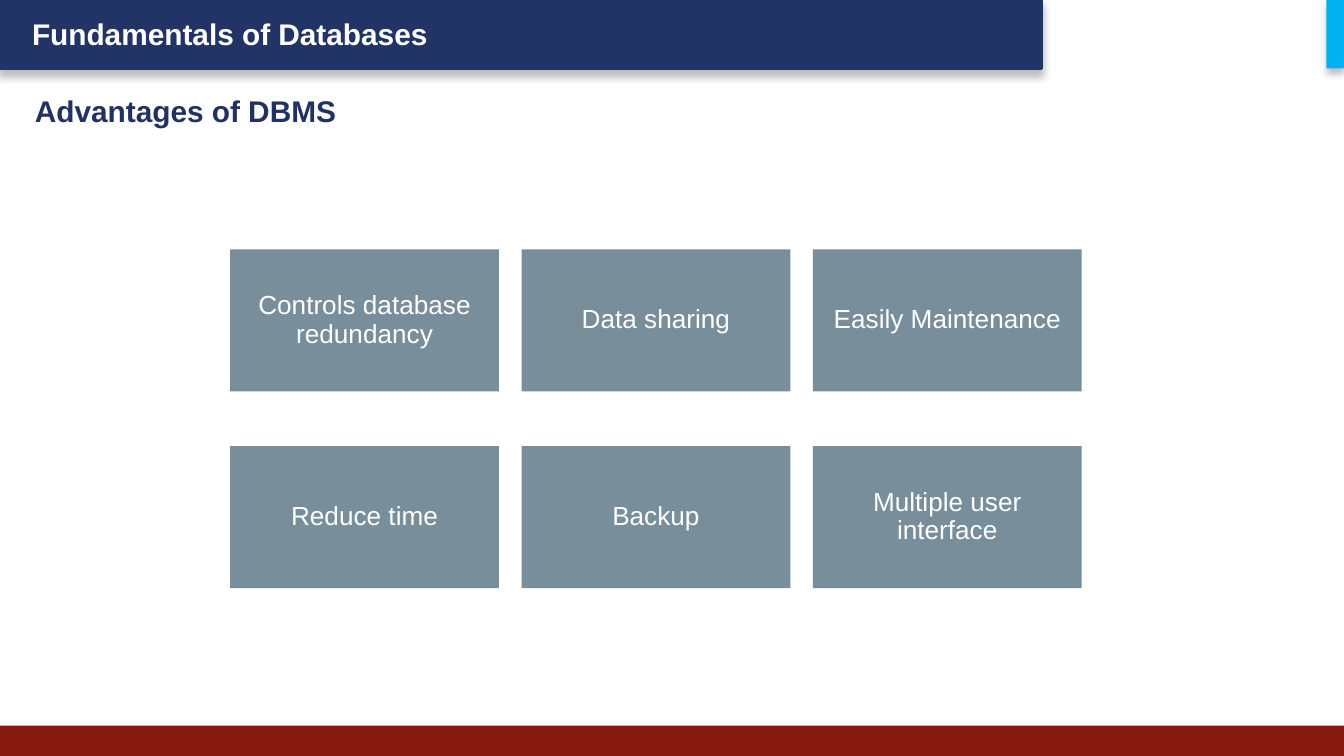
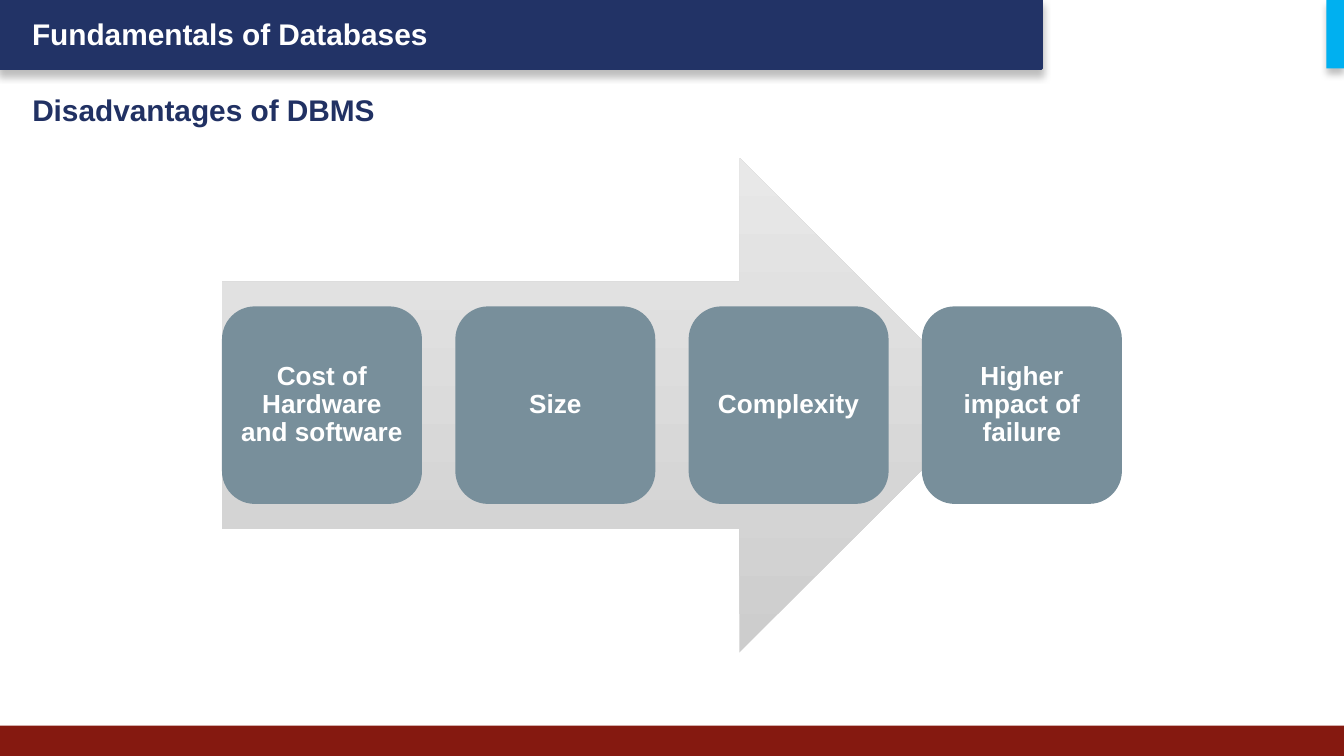
from lxml.etree import SubElement
from pptx import Presentation
from pptx.dml.color import RGBColor
from pptx.enum.shapes import MSO_SHAPE as Kind
from pptx.enum.text import MSO_ANCHOR as Anchor, MSO_AUTO_SIZE as Auto, PP_ALIGN as Align
from pptx.oxml.ns import qn
from pptx.util import Inches, Pt

# Grid: 100 columns by 56.25 rows of equal square cells
COLS, ROWS = 100, 56.25
CELL = Inches(10) / COLS

NAVY, INK, RED, SKY = "223366", "213163", "851910", "00B0F0"
SLATE, WHITE = "788F9B", "FFFFFF"
LIGHT, GREY = "E8E8E8", "CDCDCD"


def size(cells):
    return round(cells * CELL)


def hue(code):
    return RGBColor.from_string(code)


def write(frame, text, pt=16, color=WHITE, bold=True, align=Align.LEFT,
          anchor=Anchor.TOP, pad=None, space=None, wrap=True):
    """Put one formatted paragraph into a text frame."""
    frame.text = text
    frame.auto_size = Auto.NONE
    frame.word_wrap = wrap
    frame.vertical_anchor = anchor
    left, top = pad or (1, 0.5)
    frame.margin_left = frame.margin_right = size(left)
    frame.margin_top = frame.margin_bottom = size(top)
    line = frame.paragraphs[0]
    line.alignment = align
    if space:
        line.line_spacing = space
    font = line.runs[0].font
    font.name, font.size, font.bold = "Arial", Pt(pt), bold
    font.color.rgb = hue(color)


def shade(shape):
    """Add a soft shadow below the shape."""
    drop = SubElement(shape.element.spPr.find(qn("a:effectLst")), qn("a:outerShdw"),
                      blurRad=str(Pt(4)), dist=str(Pt(3)), dir="5400000",
                      algn="t", rotWithShape="0")
    black = SubElement(drop, qn("a:srgbClr"), val="000000")
    SubElement(black, qn("a:alpha"), val="25000")


class Deck:
    def __init__(self):
        self.file = Presentation()
        self.file.slide_width = size(COLS)
        self.file.slide_height = size(ROWS)
        self.slide = None

    def page(self, title, left, top, wide, high):
        """Start a slide with the shared bands, header and title."""
        self.slide = self.file.slides.add_slide(self.file.slide_layouts[5])
        band = self.block(0, 0, 77.5, 5.1, NAVY)
        band.line.color.rgb = hue(NAVY)
        band.line.width = Pt(2)
        shade(band)
        self.block(0, 54, COLS, ROWS - 54, RED)
        self.label("Fundamentals of Databases", 1.4, 0.7, 31.8, 3.7)
        shade(self.block(98.7, 0, 1.3, 5.1, SKY))
        head = self.slide.shapes.title
        head.left, head.top = size(left), size(top)
        head.width, head.height = size(wide), size(high)
        write(head.text_frame, title, color=INK)

    def label(self, text, left, top, wide, high):
        box = self.slide.shapes.add_textbox(size(left), size(top), size(wide), size(high))
        write(box.text_frame, text, wrap=False)

    def block(self, left, top, wide, high, fill, kind=Kind.RECTANGLE):
        shape = self.slide.shapes.add_shape(
            kind, size(left), size(top), size(wide), size(high))
        shape.shadow.inherit = False
        shape.fill.solid()
        shape.fill.fore_color.rgb = hue(fill)
        shape.line.fill.background()
        return shape

    def card(self, text, left, top, wide, high, pad, kind=Kind.RECTANGLE, bold=False):
        shape = self.block(left, top, wide, high, SLATE, kind)
        write(shape.text_frame, text, pt=14, bold=bold, align=Align.CENTER,
              anchor=Anchor.MIDDLE, pad=(pad, pad), space=0.9)

    def arrow(self, left, top, wide, high):
        fill = self.block(left, top, wide, high, GREY, Kind.RIGHT_ARROW).fill
        fill.gradient()
        fill.gradient_angle = 90
        for stop, place, code in zip(fill.gradient_stops, (0, 1), (GREY, LIGHT)):
            stop.position = place
            stop.color.rgb = hue(code)


def main():
    deck = Deck()

    # Advantages: three columns by two rows
    deck.page("Advantages of DBMS", 1.6, 6.4, 39.8, 4.3)
    gains = ["Controls database redundancy", "Data sharing", "Easily Maintenance",
             "Reduce time", "Backup", "Multiple user interface"]
    for n, text in enumerate(gains):
        row, col = divmod(n, 3)
        deck.card(text, 17.13 + col * 21.68, 18.56 + row * 14.63, 20, 10.57, 1.1)

    # Disadvantages: four cards along an arrow
    deck.page("Disadvantages of DBMS", 1.4, 6.3, 33.2, 4.4)
    deck.arrow(16.52, 11.75, 56.9, 36.8)
    costs = ["Cost of Hardware and software", "Size", "Complexity",
             "Higher impact of failure"]
    for n, text in enumerate(costs):
        deck.card(text, 16.52 + n * 17.36, 22.8, 14.88, 14.7, 0.6,
                  Kind.ROUNDED_RECTANGLE, bold=True)

    deck.file.save("out.pptx")


if __name__ == "__main__":
    main()
